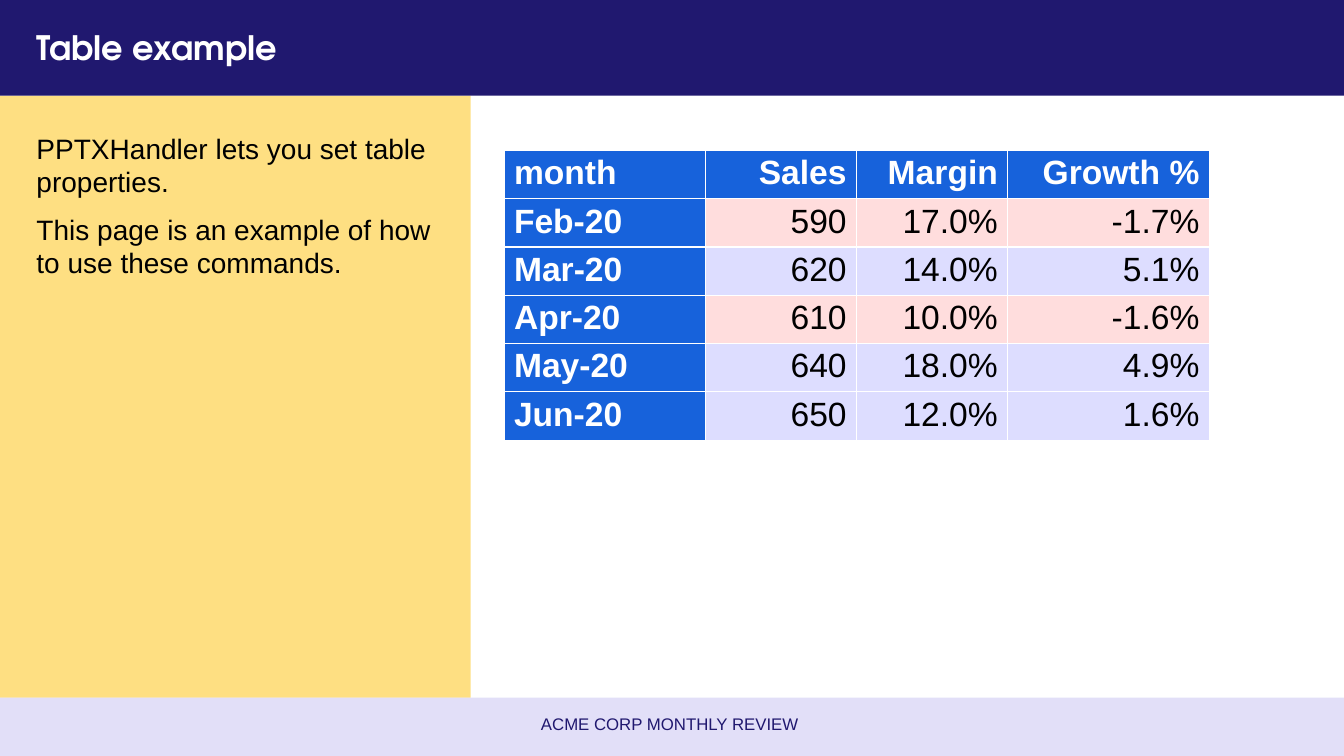
"""Build the table example slide with its side commentary and footer."""
from lxml.etree import SubElement
from pptx import Presentation
from pptx.dml.color import RGBColor
from pptx.enum.shapes import MSO_SHAPE
from pptx.enum.text import MSO_ANCHOR, PP_ALIGN
from pptx.oxml.ns import qn
from pptx.util import Cm, Pt

WIDTH, HEIGHT = 33.87, 19.05
HEADER_HEIGHT, FOOTER_TOP, SIDE_WIDTH = 2.41, 17.58, 11.86
NAVY, WHITE, BLACK = "20186F", "FFFFFF", "000000"
BLUE, PINK, LAVENDER = "1762DB", "FFDDDD", "DDDDFF"

bands = [
    ((0, HEADER_HEIGHT, SIDE_WIDTH, FOOTER_TOP - HEADER_HEIGHT), "FEC107", 50),
    ((0, FOOTER_TOP, WIDTH, HEIGHT - FOOTER_TOP), "C6C1F2", 50),
    ((0, 0, WIDTH, HEADER_HEIGHT), NAVY, 100),
]
title = ["Table example"]
commentary = [
    "PPTXHandler lets you set table properties.",
    "This page is an example of how to use these commands.",
]
footer = ["ACME CORP MONTHLY REVIEW"]
headings = ["month", "Sales", "Margin", "Growth %"]
months = [
    ("Feb-20", 590, 17.0, -1.7),
    ("Mar-20", 620, 14.0, 5.1),
    ("Apr-20", 610, 10.0, -1.6),
    ("May-20", 640, 18.0, 4.9),
    ("Jun-20", 650, 12.0, 1.6),
]
column_widths = [5.08, 3.81, 3.81, 5.08]
TABLE_LEFT, TABLE_TOP, ROW_HEIGHT = 12.7, 3.79, 1.2

deck = Presentation()
deck.slide_width, deck.slide_height = Cm(WIDTH), Cm(HEIGHT)
slide = deck.slides.add_slide(deck.slide_layouts[6])


def color(value):
    return RGBColor.from_string(value)


def add_band(box, fill, opacity):
    band = slide.shapes.add_shape(MSO_SHAPE.RECTANGLE, *map(Cm, box))
    band.shadow.inherit = False
    band.line.fill.background()
    band.fill.solid()
    band.fill.fore_color.rgb = color(fill)
    if opacity < 100:
        tint = band._element.spPr.find(qn("a:solidFill")).find(qn("a:srgbClr"))
        SubElement(tint, qn("a:alpha"), val=str(opacity * 1000))


def write(paragraph, text, size, ink, font="Arial", bold=False, align=PP_ALIGN.LEFT):
    paragraph.alignment = align
    run = paragraph.add_run()
    run.text = text
    run.font.name, run.font.size, run.font.bold = font, Pt(size), bold
    run.font.color.rgb = color(ink)


def add_text(box, lines, size, ink, anchor=MSO_ANCHOR.MIDDLE, gap=0, **style):
    frame = slide.shapes.add_textbox(*map(Cm, box)).text_frame
    frame.word_wrap = True
    frame.vertical_anchor = anchor
    for index, line in enumerate(lines):
        paragraph = frame.add_paragraph() if index else frame.paragraphs[0]
        paragraph.space_before = Pt(gap)
        write(paragraph, line, size, ink, **style)


def add_sales_table():
    rows = [headings] + [
        (month, str(sales), f"{margin:.1f}%", f"{growth:.1f}%")
        for month, sales, margin, growth in months
    ]
    box = (TABLE_LEFT, TABLE_TOP, sum(column_widths), ROW_HEIGHT * len(rows))
    table = slide.shapes.add_table(len(rows), len(headings), *map(Cm, box)).table
    table.first_col = True
    table.horz_banding = False
    for column, width in zip(table.columns, column_widths):
        column.width = Cm(width)
    for r, values in enumerate(rows):
        table.rows[r].height = Cm(ROW_HEIGHT)
        for c, value in enumerate(values):
            heading = r == 0 or c == 0
            body_fill = PINK if r and months[r - 1][3] < 0 else LAVENDER
            cell = table.cell(r, c)
            cell.margin_top = cell.margin_bottom = Cm(0.1)
            cell.fill.solid()
            cell.fill.fore_color.rgb = color(BLUE if heading else body_fill)
            write(cell.text_frame.paragraphs[0], value, 24,
                  WHITE if heading else BLACK, bold=heading,
                  align=PP_ALIGN.RIGHT if c else PP_ALIGN.LEFT)


for band in bands:
    add_band(*band)
add_text((0.67, 0.3, 32.5, 1.78), title, 24, WHITE, font="TeX Gyre Adventor", bold=True)
add_text((0.67, 3.18, 10.54, 14.22), commentary, 20, BLACK, anchor=MSO_ANCHOR.TOP, gap=10)
add_text((5.18, 17.73, 23.4, 1.02), footer, 12, NAVY, align=PP_ALIGN.CENTER)
add_sales_table()

deck.save("out.pptx")
